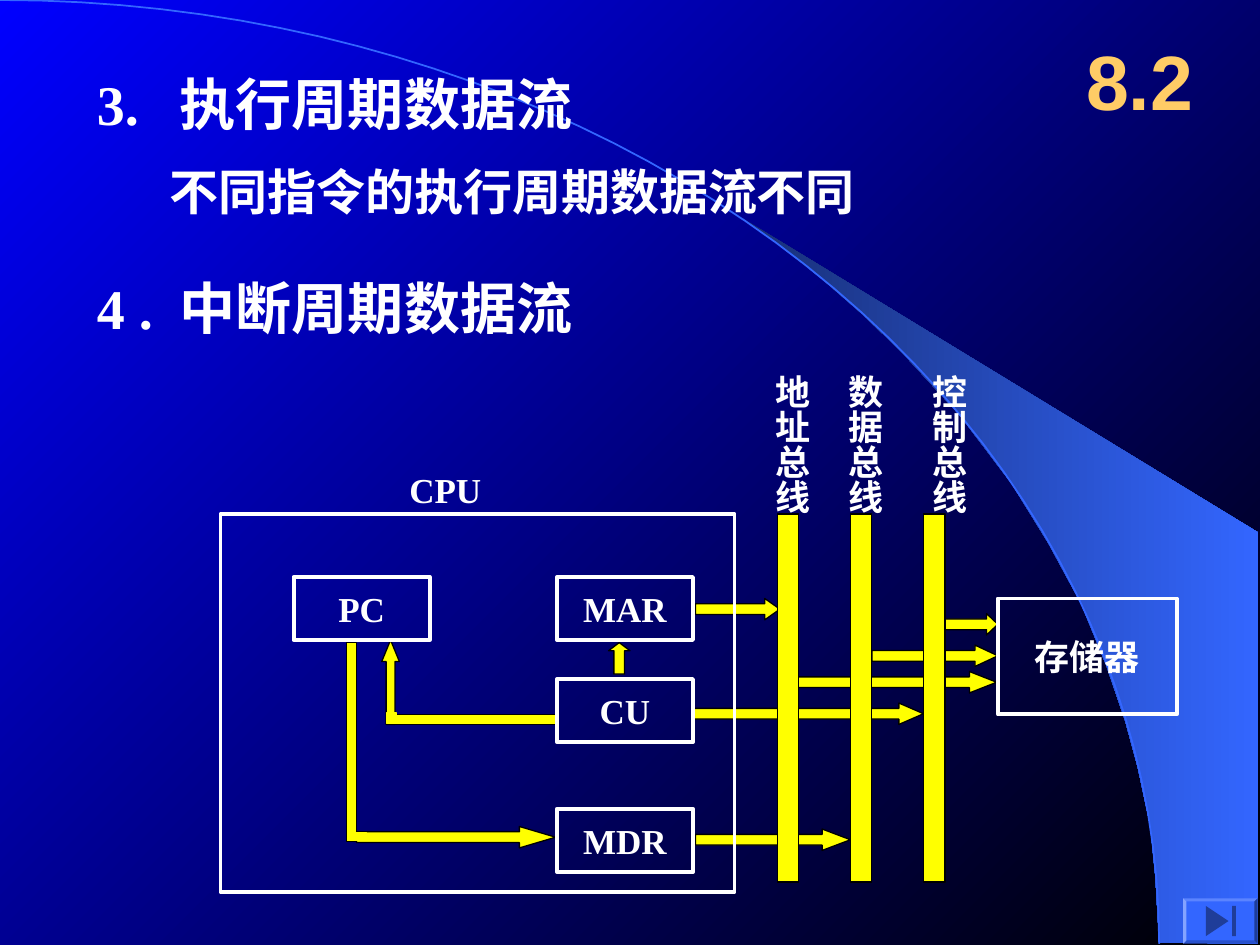
import math
import lxml.etree
import pptx
import pptx.dml.color
import pptx.enum.shapes
import pptx.enum.text
import pptx.oxml.ns
import pptx.util

Inches = pptx.util.Inches
SHAPE = pptx.enum.shapes.MSO_SHAPE
ALIGN = pptx.enum.text.PP_ALIGN
ANCHOR = pptx.enum.text.MSO_ANCHOR
AUTO_SIZE = pptx.enum.text.MSO_AUTO_SIZE

THEME = {
    "blue": "0000FF", "black": "000000", "white": "FFFFFF", "bus": "FFFF00",
    "accent": "3366FF", "accent_dark": "182F76", "icon": "1F3D99", "number": "FFCC66",
    "serif": "Times New Roman", "sans": "Arial",
    "heading": 32, "body": 28, "label": 20, "section": 44,
    "thin": 0.75, "curve": 1, "frame": 2.25,
}

HEADINGS = [("3.\t执行周期数据流", 0.5), ("4 .\t中断周期数据流", 2.12)]
STATEMENT = "不同指令的执行周期数据流不同"
SECTION = "8.2"
BUSES = [("地址总线", 6.17, 5.97), ("数据总线", 6.75, 6.55), ("控制总线", 7.33, 7.22)]
UNIT_SIZE = (1.08, 0.5)
UNITS = [("PC", 2.33, 4.58), ("MAR", 4.42, 4.58), ("CU", 4.42, 5.39), ("MDR", 4.42, 6.42)]
CPU_FRAME = (1.75, 4.08, 4.08, 3)
MEMORY = ("存储器", (7.92, 4.75, 1.42, 0.92))

RIGHT_ARROWS = [
    (5.52, 4.75, 0.67, 0.71), (2.83, 6.56, 1.58, 1.69), (5.52, 6.58, 1.23, 1.32),
    (6.92, 5.12, 1, 1.07), (5.5, 5.58, 1.83, 1.15), (6.33, 5.33, 1.58, 1.27),
    (7.42, 4.87, 0.5, 0.53),
]
UP_ARROWS = [(3.03, 5.08, 0.14, 0.67, 1.22), (4.83, 5.1, 0.17, 0.25, 0.38)]
WIRES = [(2.75, 5.1, 0.08, 1.58), (3.11, 5.67, 1.3, 0.08)]
JOINTS = [(2.81, 6.61, 0.1, 0.06), (6.3, 5.39, 0.08, 0.05), (3.07, 5.66, 0.08, 0.08)]
ARROW_HEIGHT = 0.17

CURVE_SIZE = (9.2, 7.49)
BEAM = [
    (9.2, 7.48), (9.99, 7.49), (9.99, 4.23), (5.89, 1.73), (6.24, 1.99), (6.53, 2.22),
    (6.85, 2.5), (7.16, 2.8), (7.62, 3.3), (8.03, 3.84), (8.32, 4.31), (8.58, 4.79),
    (8.78, 5.28), (8.93, 5.72), (9.03, 6.09), (9.13, 6.56), (9.17, 6.96),
]
BUTTON = (9.39, 7.13, 0.59, 0.36)
BUTTON_TRIANGLE = [(9.57, 7.19), (9.75, 7.31), (9.57, 7.43)]
BUTTON_BAR = (9.78, 7.19, 0.03, 0.24)


def color(name):
    return pptx.dml.color.RGBColor.from_string(THEME[name])


def style(shape, fill=None, line=None, width="thin"):
    shape.shadow.inherit = False
    if fill:
        shape.fill.solid()
        shape.fill.fore_color.rgb = color(fill)
    else:
        shape.fill.background()
    if line:
        shape.line.color.rgb = color(line)
        shape.line.width = pptx.util.Pt(THEME[width])
    else:
        shape.line.fill.background()
    return shape


def paint_gradient(fill, start, end, angle):
    fill.gradient()
    fill.gradient_angle = angle
    for stop, name in zip(fill.gradient_stops, (start, end)):
        stop.color.rgb = color(name)


def add_preset(slide, preset, box, adjustments=(), **look):
    shape = slide.shapes.add_shape(preset, *map(Inches, box))
    for index, value in enumerate(adjustments):
        shape.adjustments[index] = value
    return style(shape, **look)


def add_outline(slide, points, close, **look):
    builder = slide.shapes.build_freeform(*map(Inches, points[0]))
    builder.add_line_segments([tuple(map(Inches, point)) for point in points[1:]], close=close)
    return style(builder.convert_to_shape(), **look)


def write(shape, text, size="label", font="serif", ink="white", align=ALIGN.LEFT,
          anchor=ANCHOR.TOP, wrap=False, tab=None):
    frame = shape.text_frame
    frame.text = text
    frame.word_wrap = wrap
    frame.vertical_anchor = anchor
    paragraph = frame.paragraphs[0]
    paragraph.alignment = align
    if tab:
        properties = paragraph._p.get_or_add_pPr()
        tabs = lxml.etree.SubElement(properties, pptx.oxml.ns.qn("a:tabLst"))
        lxml.etree.SubElement(tabs, pptx.oxml.ns.qn("a:tab"), pos=str(Inches(tab)), algn="l")
    for run in paragraph.runs:
        run.font.name = THEME[font]
        run.font.size = pptx.util.Pt(THEME[size])
        run.font.bold = True
        run.font.color.rgb = color(ink)


def add_text(slide, box, text, **look):
    shape = slide.shapes.add_textbox(*map(Inches, box))
    write(shape, text, **look)
    return shape


def add_unit(slide, text, box):
    shape = add_preset(slide, SHAPE.RECTANGLE, box, line="white", width="frame")
    write(shape, text, align=ALIGN.CENTER, anchor=ANCHOR.MIDDLE)


def add_backdrop(slide):
    paint_gradient(slide.background.fill, "blue", "black", 315)
    beam = add_outline(slide, BEAM, True)
    paint_gradient(beam.fill, "accent_dark", "accent", 0)
    width, height = CURVE_SIZE
    angles = [math.radians(degree) for degree in range(0, 91, 2)]
    curve = [(width * math.sin(angle), height * (1 - math.cos(angle))) for angle in angles]
    add_outline(slide, curve, False, line="accent", width="curve")


def add_diagram(slide):
    yellow = {"fill": "bus", "line": "black"}
    for box in WIRES:
        add_preset(slide, SHAPE.RECTANGLE, box, **yellow)
    for left, top, width, head in RIGHT_ARROWS:
        add_preset(slide, SHAPE.RIGHT_ARROW, (left, top, width, ARROW_HEIGHT), (0.5, head), **yellow)
    for *box, head in UP_ARROWS:
        add_preset(slide, SHAPE.UP_ARROW, box, (0.5, head), **yellow)
    for box in JOINTS:
        add_preset(slide, SHAPE.RECTANGLE, box, fill="bus", line="bus")
    for name, bus_left, label_left in BUSES:
        add_preset(slide, SHAPE.RECTANGLE, (bus_left, 4.08, 0.17, 2.92), **yellow)
        label = add_text(slide, (label_left, 2.87, 0.53, 1.22), name)
        frame = label.text_frame
        frame.margin_left = frame.margin_right = Inches(0.05)
        frame.margin_top = frame.margin_bottom = Inches(0.1)
        frame.auto_size = AUTO_SIZE.SHAPE_TO_FIT_TEXT
        label.element.txBody.bodyPr.set("vert", "eaVert")
    add_preset(slide, SHAPE.RECTANGLE, CPU_FRAME, line="white", width="frame")
    add_text(slide, (3.15, 3.67, 0.77, 0.44), "CPU")
    for name, left, top in UNITS:
        add_unit(slide, name, (left, top, *UNIT_SIZE))
    add_unit(slide, *MEMORY)


def add_button(slide):
    add_preset(slide, SHAPE.BEVEL, BUTTON, (0.07,), fill="accent")
    add_outline(slide, BUTTON_TRIANGLE, True, fill="icon")
    add_preset(slide, SHAPE.RECTANGLE, BUTTON_BAR, fill="icon")


def main():
    presentation = pptx.Presentation()
    presentation.slide_width, presentation.slide_height = Inches(10), Inches(7.5)
    slide = presentation.slides.add_slide(presentation.slide_layouts[6])
    add_backdrop(slide)
    for text, top in HEADINGS:
        add_text(slide, (0.67, top, 6.25, 0.64), text, size="heading", wrap=True, tab=0.66)
    add_text(slide, (1.25, 1.23, 5.83, 0.57), STATEMENT, size="body", wrap=True)
    add_diagram(slide)
    add_text(slide, (8.42, 0.17, 1.25, 0.92), SECTION, size="section", font="sans",
             ink="number", align=ALIGN.CENTER, anchor=ANCHOR.MIDDLE, wrap=True)
    add_button(slide)
    presentation.save("out.pptx")


if __name__ == "__main__":
    main()
